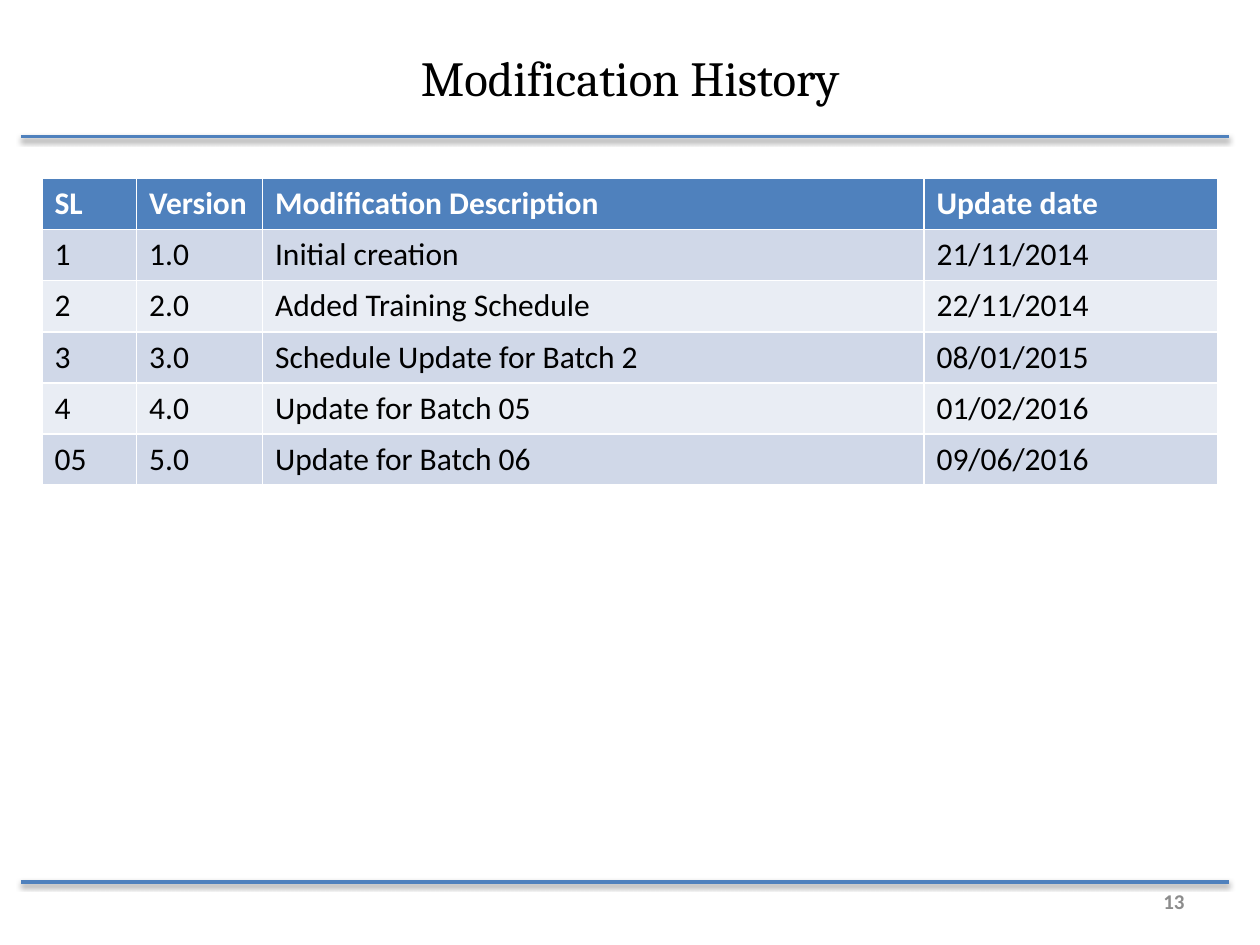
"""Build the Modification History slide."""
from lxml import etree
from pptx import Presentation
from pptx.dml.color import RGBColor
from pptx.enum.shapes import MSO_CONNECTOR
from pptx.enum.text import MSO_ANCHOR, PP_ALIGN
from pptx.util import Pt

SHADOW = (
    '<a:effectLst xmlns:a="http://schemas.openxmlformats.org/drawingml/2006/main">'
    '<a:outerShdw blurRad="39400" dist="20300" dir="5400000" rotWithShape="0">'
    '<a:srgbClr val="000000"><a:alpha val="38000"/></a:srgbClr>'
    '</a:outerShdw></a:effectLst>'
)


def color(value):
    return RGBColor.from_string(value)


def write(frame, text, size, font, fill, bold=False, align=PP_ALIGN.LEFT):
    frame.vertical_anchor = MSO_ANCHOR.MIDDLE
    paragraph = frame.paragraphs[0]
    paragraph.alignment = align
    run = paragraph.add_run()
    run.text = text
    run.font.size = Pt(size)
    run.font.name = font
    run.font.bold = bold
    run.font.color.rgb = color(fill)


prs = Presentation()
prs.slide_width, prs.slide_height = Pt(720), Pt(540)
slide = prs.slides.add_slide(prs.slide_layouts[5])

title = slide.shapes.title
title.left, title.top, title.width, title.height = Pt(36), Pt(21.6), Pt(648), Pt(44.6)
write(title.text_frame, "Modification History", 28, "Cambria", "000000", align=PP_ALIGN.CENTER)

rows = [
    ("SL", "Version", "Modification Description", "Update date"),
    ("1", "1.0", "Initial creation", "21/11/2014"),
    ("2", "2.0", "Added Training Schedule", "22/11/2014"),
    ("3", "3.0", "Schedule Update for Batch 2", "08/01/2015"),
    ("4", "4.0", "Update for Batch 05", "01/02/2016"),
    ("05", "5.0", "Update for Batch 06", "09/06/2016"),
]
widths = [54, 72, 378, 168]
row_height = 29.2
history = slide.shapes.add_table(
    len(rows), len(widths), Pt(24), Pt(102), Pt(sum(widths)), Pt(row_height * len(rows))
).table
for column, width in zip(history.columns, widths):
    column.width = Pt(width)
for r, values in enumerate(rows):
    history.rows[r].height = Pt(row_height)
    header = r == 0
    band = "4F81BD" if header else ("E9EDF4", "D0D8E8")[r % 2]
    for c, value in enumerate(values):
        cell = history.cell(r, c)
        cell.fill.solid()
        cell.fill.fore_color.rgb = color(band)
        write(cell.text_frame, value, 18, "Calibri", "FFFFFF" if header else "000000", header)
        cell.vertical_anchor = MSO_ANCHOR.TOP

for y in (78, 504):
    rule = slide.shapes.add_connector(MSO_CONNECTOR.STRAIGHT, Pt(12), Pt(y), Pt(702), Pt(y))
    rule.line.color.rgb = color("4F81BD")
    rule.line.width = Pt(2)
    rule._element.spPr.append(etree.fromstring(SHADOW))

number = slide.shapes.add_textbox(Pt(516), Pt(500.5), Pt(168), Pt(28.8))
number.text_frame.word_wrap = True
write(number.text_frame, "13", 12, "Calibri", "8C8C8C", True, PP_ALIGN.RIGHT)

prs.save("out.pptx")
